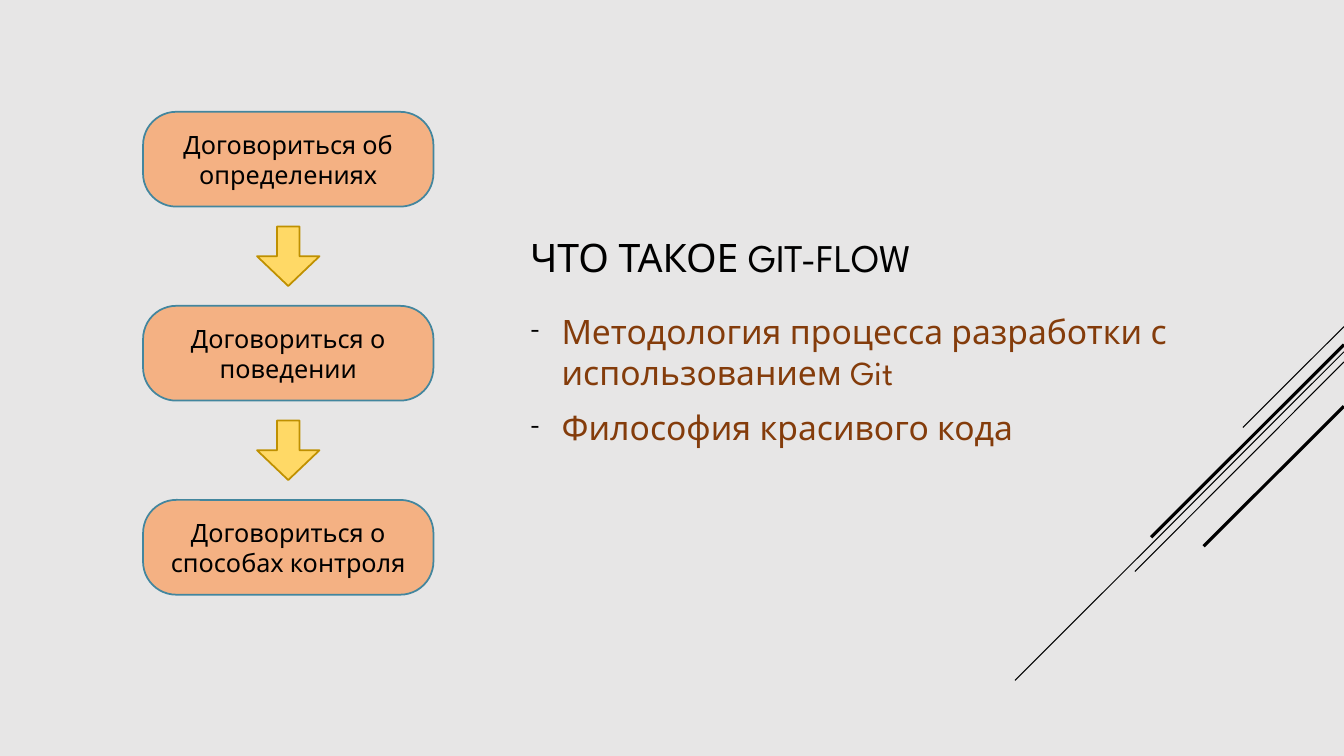
from dataclasses import dataclass

from lxml.etree import SubElement
from pptx import Presentation
from pptx.dml.color import RGBColor
from pptx.enum.shapes import MSO_CONNECTOR as Link, MSO_SHAPE as Preset
from pptx.enum.text import MSO_ANCHOR as Anchor, PP_ALIGN as Align
from pptx.oxml.ns import qn
from pptx.shapes.autoshape import Shape
from pptx.slide import Slide
from pptx.text.text import TextFrame, _Paragraph as Paragraph
from pptx.util import Pt


@dataclass(frozen=True)
class Theme:
    font: str = "League Spartan"
    background: str = "E7E6E6"
    ink: str = "000000"
    accent: str = "843C0B"
    step_fill: str = "F4B183"
    step_line: str = "43869E"
    arrow_fill: str = "FFD966"
    arrow_line: str = "BF9000"
    title_size: float = 28
    body_size: float = 24
    step_size: float = 18
    outline: float = 1.25


@dataclass(frozen=True)
class Area:
    left: float
    top: float
    width: float
    height: float


@dataclass(frozen=True)
class Stripe:
    top: float
    left: float
    bottom: float
    weight: float


THEME = Theme()
PAGE_WIDTH, PAGE_HEIGHT = 960, 540
STRIPES = [
    Stripe(233.3, 887.8, 305.3, 0.75),
    Stripe(251.3, 725, 486, 0.75),
    Stripe(258.5, 810.7, 408.2, 0.75),
    Stripe(246.2, 822.2, 383.8, 2.25),
    Stripe(290.2, 859.7, 390.2, 2.25),
]
TITLE = "ЧТО ТАКОЕ GIT-FLOW"
TITLE_AREA = Area(371.5, 113.8, 473.8, 90)
POINTS = [
    "Методология процесса разработки с использованием Git",
    "Философия красивого кода",
]
POINTS_AREA = Area(371.5, 218.9, 491, 206.6)
STEPS = [
    "Договориться об определениях",
    "Договориться о поведении",
    "Договориться о способах контроля",
]
FIRST_STEP = Area(102.2, 79.9, 207.4, 67.7)
STEP_PITCH = 138.6
ARROW_WIDTH, ARROW_HEIGHT = 44.6, 42.5


def color(code: str) -> RGBColor:
    return RGBColor.from_string(code)


def style_runs(para: Paragraph, size: float, code: str) -> None:
    for span in para.runs:
        span.font.name = THEME.font
        span.font.size = Pt(size)
        span.font.color.rgb = color(code)


def add_stripe(page: Slide, stripe: Stripe) -> None:
    line = page.shapes.add_connector(
        Link.STRAIGHT, Pt(PAGE_WIDTH), Pt(stripe.top), Pt(stripe.left), Pt(stripe.bottom)
    )
    line.line.color.rgb = color(THEME.ink)
    line.line.width = Pt(stripe.weight)
    SubElement(line.element.spPr, qn("a:effectLst"))


def add_preset(page: Slide, preset: Preset, area: Area, fill: str, outline: str) -> Shape:
    shape = page.shapes.add_shape(
        preset, Pt(area.left), Pt(area.top), Pt(area.width), Pt(area.height)
    )
    shape.shadow.inherit = False
    shape.fill.solid()
    shape.fill.fore_color.rgb = color(fill)
    shape.line.color.rgb = color(outline)
    shape.line.width = Pt(THEME.outline)
    return shape


def add_step(page: Slide, text: str, area: Area) -> None:
    box = add_preset(page, Preset.ROUNDED_RECTANGLE, area, THEME.step_fill, THEME.step_line)
    box.adjustments[0] = 0.35
    frame = box.text_frame
    frame.text = text
    frame.word_wrap = True
    frame.vertical_anchor = Anchor.MIDDLE
    para = frame.paragraphs[0]
    para.alignment = Align.CENTER
    style_runs(para, THEME.step_size, THEME.ink)


def add_down_arrow(page: Slide, step: Area) -> None:
    gap = STEP_PITCH - step.height
    area = Area(
        step.left + (step.width - ARROW_WIDTH) / 2,
        step.top + step.height + (gap - ARROW_HEIGHT) / 2,
        ARROW_WIDTH,
        ARROW_HEIGHT,
    )
    arrow = add_preset(page, Preset.DOWN_ARROW, area, THEME.arrow_fill, THEME.arrow_line)
    arrow.adjustments[0] = 0.36
    arrow.adjustments[1] = 0.5


def add_text(page: Slide, text: str, area: Area, size: float, code: str) -> TextFrame:
    box = page.shapes.add_textbox(
        Pt(area.left), Pt(area.top), Pt(area.width), Pt(area.height)
    )
    frame = box.text_frame
    frame.text = text
    frame.word_wrap = True
    for para in frame.paragraphs:
        style_runs(para, size, code)
    return frame


def add_dash(para: Paragraph) -> None:
    para.space_before = Pt(0.2 * THEME.body_size)
    para.space_after = Pt(6)
    properties = para._p.get_or_add_pPr()
    properties.set("marL", str(Pt(22.5)))
    properties.set("indent", str(-Pt(22.5)))
    bullet_color = SubElement(properties, qn("a:buClr"))
    SubElement(bullet_color, qn("a:srgbClr"), val=THEME.ink)
    SubElement(properties, qn("a:buSzPct"), val="80000")
    SubElement(properties, qn("a:buFont"), typeface=THEME.font)
    SubElement(properties, qn("a:buChar"), char="-")


def main() -> None:
    deck = Presentation()
    deck.slide_width, deck.slide_height = Pt(PAGE_WIDTH), Pt(PAGE_HEIGHT)
    page = deck.slides.add_slide(deck.slide_layouts[6])
    page.background.fill.solid()
    page.background.fill.fore_color.rgb = color(THEME.background)

    for stripe in STRIPES:
        add_stripe(page, stripe)

    title = add_text(page, TITLE, TITLE_AREA, THEME.title_size, THEME.ink)
    title.vertical_anchor = Anchor.BOTTOM
    points = add_text(page, "\n".join(POINTS), POINTS_AREA, THEME.body_size, THEME.accent)
    for para in points.paragraphs:
        add_dash(para)

    for index, text in enumerate(STEPS):
        top = FIRST_STEP.top + index * STEP_PITCH
        step = Area(FIRST_STEP.left, top, FIRST_STEP.width, FIRST_STEP.height)
        add_step(page, text, step)
        if index < len(STEPS) - 1:
            add_down_arrow(page, step)

    deck.save("out.pptx")


if __name__ == "__main__":
    main()
